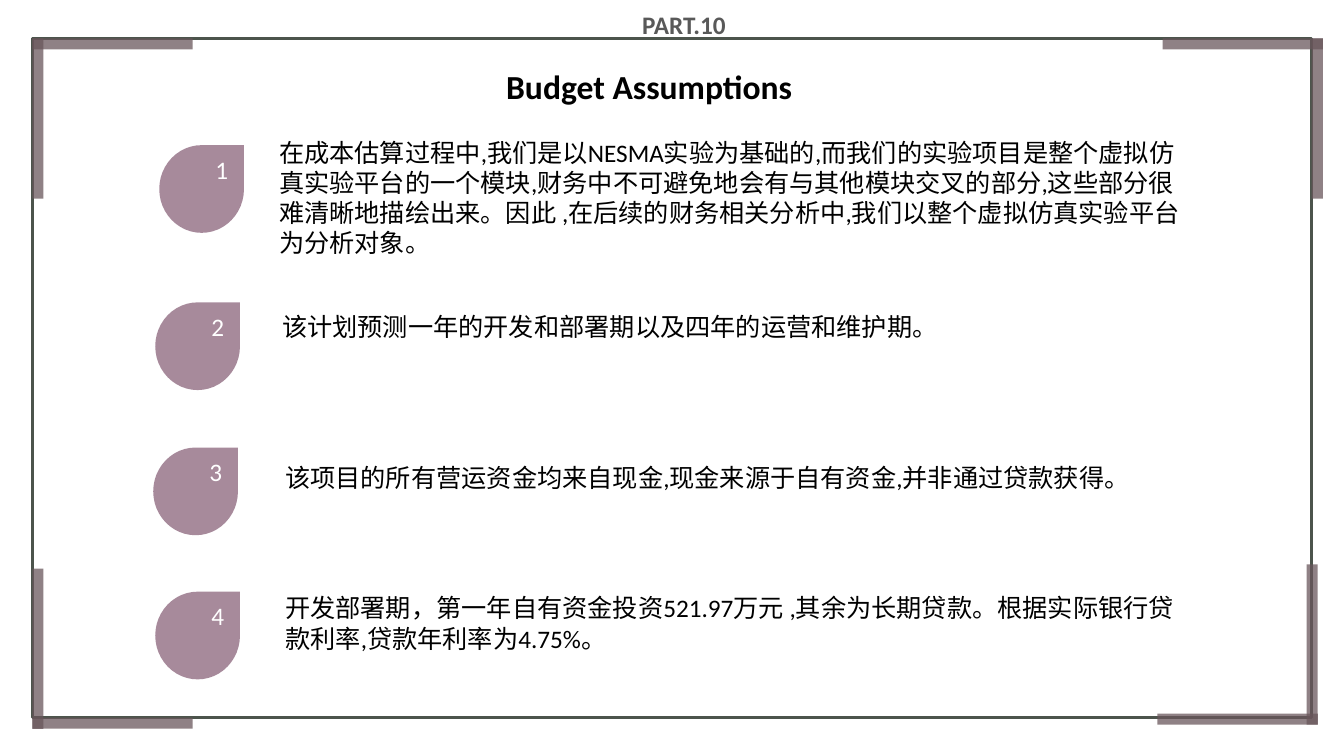
from lxml.etree import SubElement
from pptx import Presentation
from pptx.dml.color import RGBColor
from pptx.enum.shapes import MSO_SHAPE as Preset
from pptx.enum.text import MSO_ANCHOR as Anchor, MSO_AUTO_SIZE as AutoSize, PP_ALIGN as Align
from pptx.oxml.ns import qn
from pptx.util import Pt

EMU_PER_PX = 9144
FRAME_GREY = RGBColor(0x4C, 0x54, 0x4C)
CORNER_BROWN = RGBColor(0x69, 0x56, 0x5B)
DROP_MAUVE = RGBColor(0x9F, 0x7F, 0x92)
PART_GREY = RGBColor(0x59, 0x59, 0x59)
BLACK = RGBColor(0, 0, 0)
WHITE = RGBColor(0xFF, 0xFF, 0xFF)

CORNER_LENGTH, CORNER_THICKNESS = 159, 11
DROP_WIDTH, DROP_HEIGHT = 84, 87

CORNERS = [
    (32, 38, False, False),
    (1153, 38, True, False),
    (32, 564, False, True),
    (1148, 560, True, True),
]

ASSUMPTIONS = [
    ((158, 144), (267, 131, 919, 131),
     "在成本估算过程中,我们是以NESMA实验为基础的,而我们的实验项目是整个虚拟仿真实验平台的一个模块,"
     "财务中不可避免地会有与其他模块交叉的部分,这些部分很难清晰地描绘出来。因此 ,"
     "在后续的财务相关分析中,我们以整个虚拟仿真实验平台为分析对象。"),
    ((154, 300), (270, 304, 816, 40),
     "该计划预测一年的开发和部署期以及四年的运营和维护期。"),
    ((152, 444), (273, 454, 888, 40),
     "该项目的所有营运资金均来自现金,现金来源于自有资金,并非通过贷款获得。"),
    ((154, 587), (273, 583, 902, 71),
     "开发部署期，第一年自有资金投资521.97万元 ,其余为长期贷款。"
     "根据实际银行贷款利率,贷款年利率为4.75%。"),
]


def px(length):
    return int(length * EMU_PER_PX)


def emu_box(box):
    return [px(length) for length in box]


def write_text(shape, text, size=18, color=BLACK, bold=False, align=Align.LEFT,
               inset_x=5, inset_y=5):
    frame = shape.text_frame
    frame.auto_size = AutoSize.NONE
    frame.word_wrap = True
    frame.vertical_anchor = Anchor.TOP
    frame.margin_left = frame.margin_right = px(inset_x)
    frame.margin_top = frame.margin_bottom = px(inset_y)
    paragraph = frame.paragraphs[0]
    paragraph.alignment = align
    run = paragraph.add_run()
    run.text = text
    run.font.name = "Calibri"
    run.font.size = Pt(size)
    run.font.bold = bold
    run.font.color.rgb = color


def add_text(slide, box, text, **text_format):
    write_text(slide.shapes.add_textbox(*emu_box(box)), text, **text_format)


def add_filled(slide, preset, box, color, opacity):
    shape = slide.shapes.add_shape(preset, *emu_box(box))
    shape.shadow.inherit = False
    shape.fill.solid()
    shape.fill.fore_color.rgb = color
    shape.line.fill.background()
    color_element = shape.fill._xPr.find(qn("a:solidFill"))[0]
    SubElement(color_element, qn("a:alpha"), val=str(opacity * 1000))


def add_corner(slide, left, top, at_right, at_bottom):
    offset = CORNER_LENGTH - CORNER_THICKNESS
    bars = [
        (left, top + offset * at_bottom, CORNER_LENGTH, CORNER_THICKNESS),
        (left + offset * at_right, top, CORNER_THICKNESS, CORNER_LENGTH),
    ]
    for bar in bars:
        add_filled(slide, Preset.RECTANGLE, bar, CORNER_BROWN, 74)


def add_frame(slide, box):
    border = slide.shapes.add_shape(Preset.RECTANGLE, *emu_box(box))
    border.shadow.inherit = False
    border.fill.background()
    border.line.color.rgb = FRAME_GREY
    border.line.width = Pt(2.5)
    for corner in CORNERS:
        add_corner(slide, *corner)


def add_header(slide, part_box, title_box):
    add_text(slide, part_box, "PART.10", color=PART_GREY, bold=True)
    title = slide.shapes.title
    title.left, title.top, title.width, title.height = emu_box(title_box)
    write_text(title, "Budget Assumptions", size=24, bold=True, align=Align.JUSTIFY)


def add_assumption(slide, number, drop_position, text_box, text):
    left, top = drop_position
    add_filled(slide, Preset.TEAR, (left, top, DROP_WIDTH, DROP_HEIGHT), DROP_MAUVE, 91)
    add_text(slide, (left + 43, top + 4, 38, 56), str(number),
             color=WHITE, align=Align.CENTER)
    add_text(slide, text_box, text, inset_x=10)


def main():
    presentation = Presentation()
    presentation.slide_width, presentation.slide_height = px(1333), px(750)
    slide = presentation.slides.add_slide(presentation.slide_layouts.get_by_name("Title Only"))
    add_frame(slide, (32, 38, 1269, 674))
    add_header(slide, (632, 4, 200, 40), (497, 60, 356, 37))
    for number, assumption in enumerate(ASSUMPTIONS, 1):
        add_assumption(slide, number, *assumption)
    presentation.save("out.pptx")


if __name__ == "__main__":
    main()
